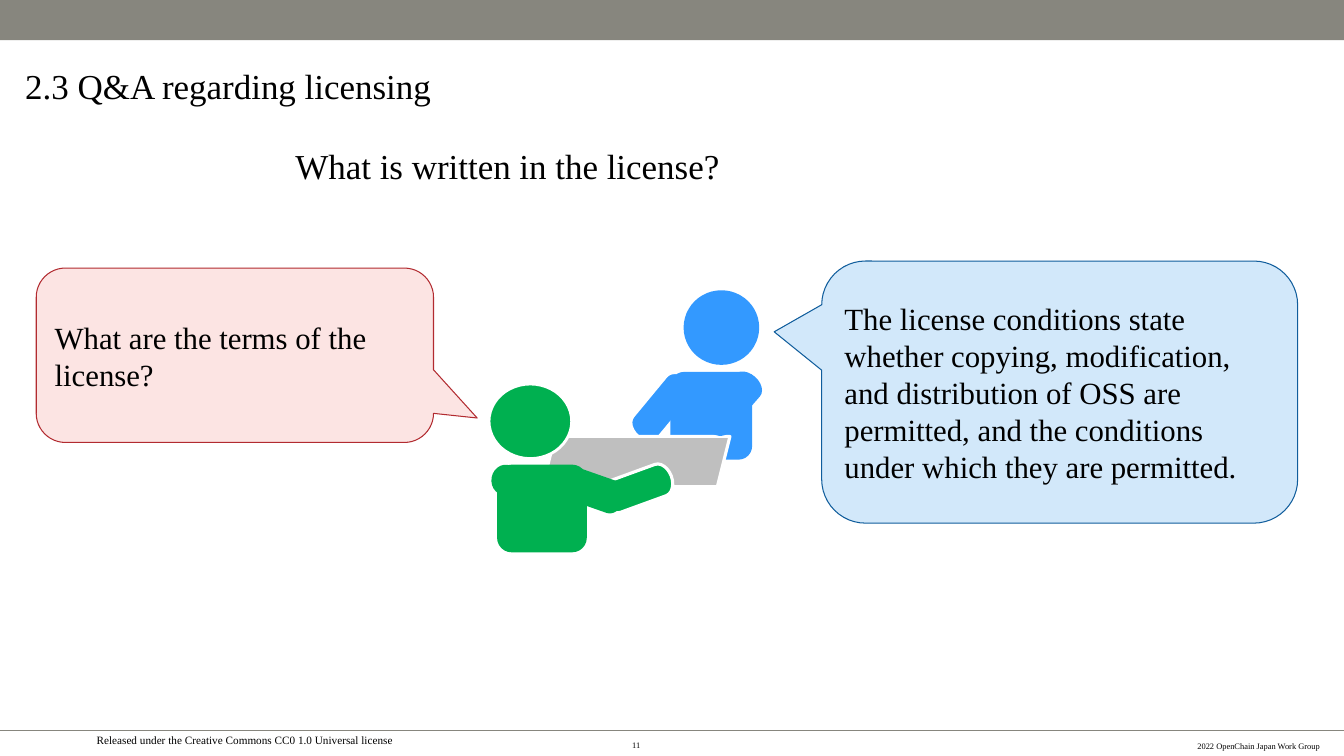
import pptx
import pptx.dml.color
import pptx.enum.shapes
import pptx.enum.text
import pptx.oxml
import pptx.util
from dataclasses import dataclass

Inches = pptx.util.Inches
Pt = pptx.util.Pt
MSO = pptx.enum.shapes.MSO_SHAPE
ALIGN = pptx.enum.text.PP_ALIGN
ANCHOR = pptx.enum.text.MSO_ANCHOR


@dataclass(frozen=True)
class Theme:
    font: str = "Times New Roman"
    text: str = "000000"
    white: str = "FFFFFF"
    band: str = "87867E"
    asker: str = "00B050"
    answerer: str = "3399FF"
    desk: str = "BFBFBF"
    question_fill: str = "FCE4E3"
    question_line: str = "B22B30"
    answer_fill: str = "D2E8FA"
    answer_line: str = "105D9C"
    heading: float = 25
    speech: float = 22
    licence: float = 8
    small: float = 6


T = Theme()


def rgb(value):
    return pptx.dml.color.RGBColor.from_string(value)


def apply(obj, values):
    for name, value in values.items():
        setattr(obj, name, value)


def write(sp, text, size, align=ALIGN.LEFT, anchor=ANCHOR.MIDDLE, margins=(0, 0)):
    tf = sp.text_frame
    mx, my = map(Inches, margins)
    apply(tf, {
        "word_wrap": True, "auto_size": pptx.enum.text.MSO_AUTO_SIZE.NONE,
        "vertical_anchor": anchor, "margin_left": mx, "margin_right": mx,
        "margin_top": my, "margin_bottom": my,
    })
    p = tf.paragraphs[0]
    p.alignment = align
    r = p.add_run()
    r.text = text
    apply(r.font, {"name": T.font, "size": Pt(size)})
    r.font.color.rgb = rgb(T.text)


def add_text(s, box, text, size, **layout):
    write(s.shapes.add_textbox(*map(Inches, box)), text, size, **layout)


def add_shape(s, kind, box, fill, line=None, width=2.25, rotation=0):
    sp = s.shapes.add_shape(kind, *map(Inches, box))
    sp.shadow.inherit = False
    sp.rotation = rotation
    sp.fill.solid()
    sp.fill.fore_color.rgb = rgb(fill)
    if line:
        sp.line.color.rgb = rgb(line)
        sp.line.width = Pt(width)
    else:
        sp.line.fill.background()
    return sp


def add_header(s, box):
    x, y, w, h = box
    add_shape(s, MSO.RECTANGLE, (x, y, w, 0.4), T.band)
    title = s.shapes.title
    places = map(Inches, (x + 0.25, y + 0.47, 11.46, 0.76))
    apply(title, dict(zip(("left", "top", "width", "height"), places)))
    write(title, "2.3 Q&A regarding licensing", T.heading)
    add_text(s, (x + 2.93, y + 1.26, 7.51, 0.76),
             "What is written in the license?", T.heading)


def add_callout(s, box, text, tip, fill, line):
    sp = add_shape(s, MSO.ROUNDED_RECTANGULAR_CALLOUT, box, fill, line, 0.75)
    for i, value in enumerate((*tip, 0.167)):
        sp.adjustments[i] = value
    write(sp, text, T.speech, margins=(0.1, 0.05))


def add_people(s, box):
    x, y, w, h = box
    arm, head, body = MSO.FLOWCHART_TERMINATOR, MSO.OVAL, MSO.ROUNDED_RECTANGLE
    parts = [
        (arm, (1.34, 0.99, 0.76, 0.33), T.answerer, T.white, 2.25, 309.6),
        (arm, (0.02, 1.78, 0.83, 0.3), T.asker, None, 0, 10.1),
        (head, (1.93, 0, 0.75, 0.74), T.answerer, None, 0, 0),
        (body, (1.8, 0.81, 0.81, 0.87), T.answerer, None, 0, 0),
        (MSO.PARALLELOGRAM, (0.53, 1.45, 1.86, 0.5), T.desk, T.white, 2.25, 0),
        (arm, (1.12, 1.8, 0.71, 0.33), T.asker, T.white, 2.25, 340),
        (head, (0, 0.93, 0.82, 0.74), T.asker, T.white, 2, 0),
        (arm, (0.69, 1.83, 0.65, 0.3), T.asker, T.asker, 2.25, 19.3),
        (body, (0.08, 1.73, 0.89, 0.87), T.asker, None, 0, 0),
        (arm, (2.05, 0.96, 0.71, 0.33), T.answerer, None, 0, 311.2),
    ]
    for kind, (dx, dy, pw, ph), *style in parts:
        add_shape(s, kind, (x + dx, y + dy, pw, ph), *style)


def add_footer(s, box):
    x, y, w, h = box
    rule = s.shapes.add_connector(pptx.enum.shapes.MSO_CONNECTOR.STRAIGHT,
                                  *map(Inches, (x, y, x + w, y)))
    rule.line.color.rgb = rgb(T.band)
    rule.line.width = Pt(1)
    rule._element.spPr.append(pptx.oxml.parse_xml(
        '<a:effectLst xmlns:a="http://schemas.openxmlformats.org/drawingml/2006/main"/>'))
    add_text(s, (x + 0.03, y - 0.02, 4.8, 0.27),
             "Released under the Creative Commons CC0 1.0 Universal license",
             T.licence, align=ALIGN.CENTER, anchor=ANCHOR.TOP, margins=(0.1, 0.05))
    add_text(s, (x + 7.22, y + 0.04, 5.87, 0.22),
             "2022 OpenChain Japan Work Group", T.small, align=ALIGN.RIGHT)
    add_text(s, (x + 6.27, y + 0.03, 0.79, 0.22), "11", T.small)


def main():
    prs = pptx.Presentation()
    apply(prs, {"slide_width": Inches(13.33), "slide_height": Inches(7.5)})
    s = prs.slides.add_slide(prs.slide_layouts[5])
    add_header(s, (0, 0, 13.33, 2.02))
    add_callout(s, (8.15, 2.59, 4.72, 2.6),
                "The license conditions state whether copying, modification, "
                "and distribution of OSS are permitted, and the conditions "
                "under which they are permitted.",
                (-0.6, -0.23), T.answer_fill, T.answer_line)
    add_callout(s, (0.36, 2.66, 3.94, 1.73), "What are the terms of the license?",
                (0.61, 0.36), T.question_fill, T.question_line)
    add_people(s, (4.85, 2.88, 2.76, 2.6))
    add_footer(s, (0, 7.25, 13.33, 0.25))
    prs.save("out.pptx")


if __name__ == "__main__":
    main()
